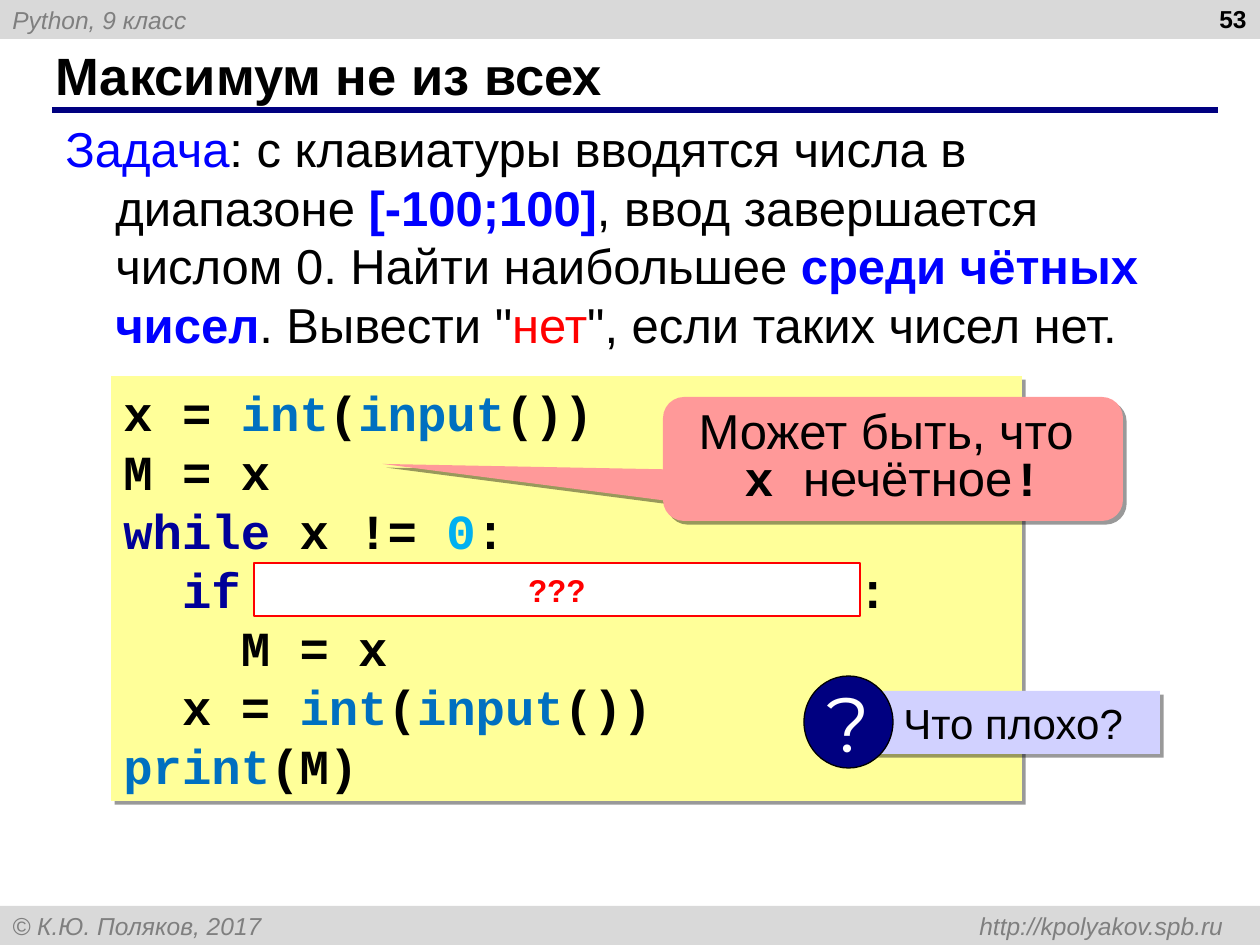
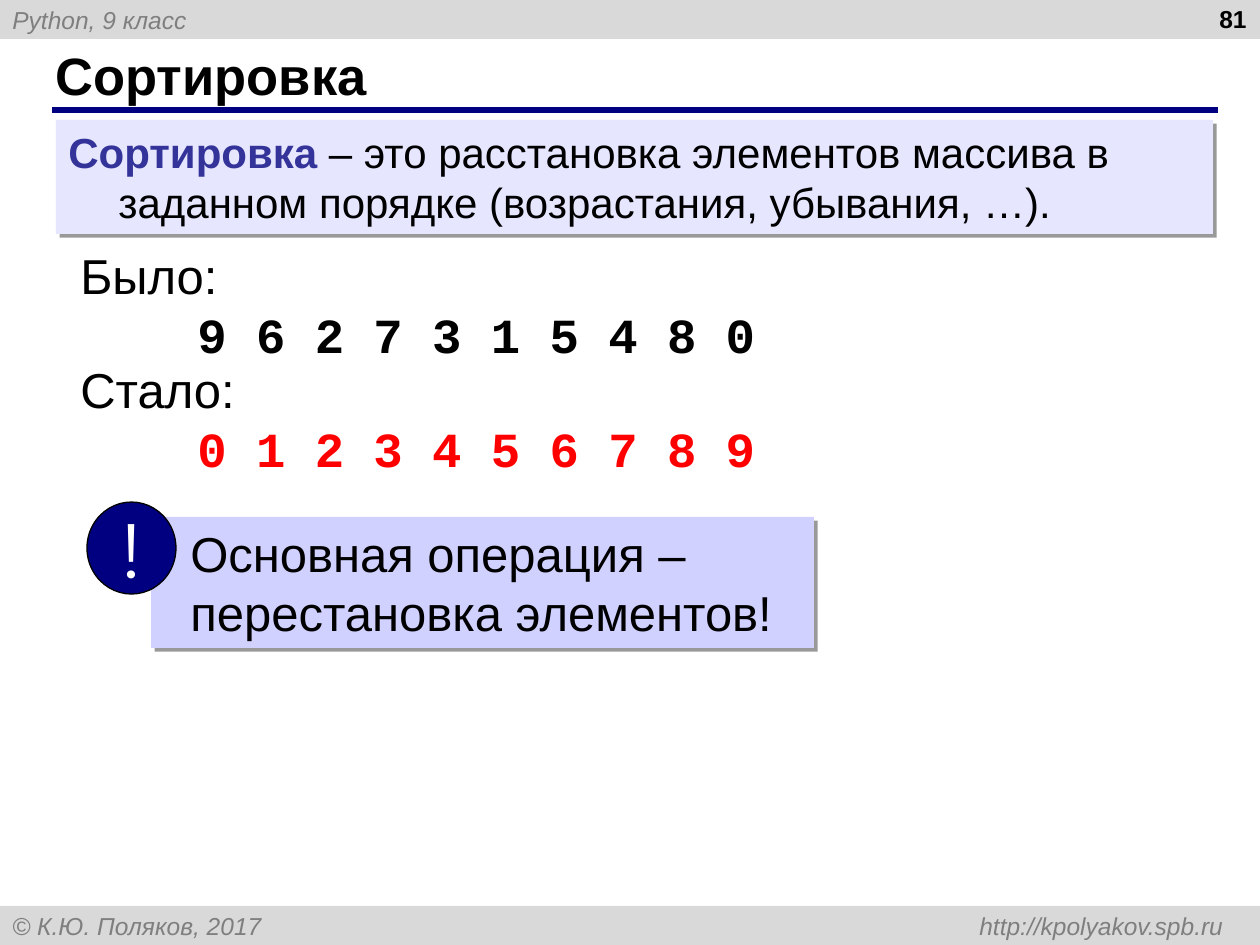
"""Build two slides of a Python course: a maximum with a condition, and sorting."""
from lxml import etree
from pptx import Presentation
from pptx.dml.color import RGBColor
from pptx.enum.shapes import MSO_CONNECTOR, MSO_SHAPE
from pptx.enum.text import MSO_AUTO_SIZE, PP_ALIGN
from pptx.oxml import parse_xml
from pptx.oxml.ns import nsdecls, qn
from pptx.util import Pt

RECT, OVAL = MSO_SHAPE.RECTANGLE, MSO_SHAPE.OVAL
BUBBLE = MSO_SHAPE.ROUNDED_RECTANGULAR_CALLOUT
LEFT, MID, RIGHT = PP_ALIGN.LEFT, PP_ALIGN.CENTER, PP_ALIGN.RIGHT
STRAIGHT, FIXED = MSO_CONNECTOR.STRAIGHT, MSO_AUTO_SIZE.NONE
PX = 914400 / 126
BLACK, WHITE, NAVY, RED, BLUE = "000000", "FFFFFF", "000080", "FF0000", "0000FF"
GREY, BAND, LILAC = "7F7F7F", "D9D9D9", "D1D1FF"
CALL, WORD, NUM = "0070C0", "000099", "00B0F0"
FONTS = {"c": "Courier New", "m": "Montserrat"}
SHADE = (f'<a:effectLst {nsdecls("a")}><a:outerShdw blurRad="0" dist="38100" dir="2700000" '
         'algn="tl" rotWithShape="0"><a:srgbClr val="000000"><a:alpha val="40000"/></a:srgbClr>'
         '</a:outerShdw></a:effectLst>')
hue = RGBColor.from_string


def box(slide, kind, at, fill=None, line=None, thick=1, shade=False):
    """Add a preset shape, or a text box when kind is None."""
    place = [round(v * PX) for v in at]
    if kind is None:
        item = slide.shapes.add_textbox(*place)
        item.text_frame.word_wrap = True
        return item
    item = slide.shapes.add_shape(kind, *place)
    item.fill.solid()
    item.fill.fore_color.rgb = hue(fill)
    if line:
        item.line.color.rgb = hue(line)
        item.line.width = Pt(thick)
    else:
        item.line.fill.background()
    item.shadow.inherit = False
    if shade:
        props = item.element.spPr
        props.remove(props.find(qn("a:effectLst")))
        props.append(parse_xml(SHADE))
    return item


def write(item, lines, size, align=LEFT, left=0, hang=0, tab=0):
    """Fill a shape with paragraphs of (text, colour, style) runs."""
    frame = item.text_frame
    for i, runs in enumerate(lines):
        para = frame.add_paragraph() if i else frame.paragraphs[0]
        para.alignment = align
        props = para._p.get_or_add_pPr()
        if left:
            props.set("marL", str(round(left * PX)))
            props.set("indent", str(round(-hang * PX)))
        if tab:
            stops = etree.SubElement(props, qn("a:tabLst"))
            etree.SubElement(stops, qn("a:tab"), pos=str(round(tab * PX)), algn="r")
        for text, tint, style in runs:
            if text == "\n":
                para.add_line_break()
                continue
            run = para.add_run()
            run.text = text
            font = run.font
            font.size = Pt(size)
            font.color.rgb = hue(tint)
            font.bold = "b" in style
            font.italic = "i" in style
            font.name = next((FONTS[k] for k in style if k in FONTS), "Arial")


deck = Presentation()
deck.slide_width, deck.slide_height = round(1260 * PX), round(945 * PX)
layout = deck.slide_layouts[5]
head = layout.placeholders[0]
head.left, head.top, head.width, head.height = [round(v * PX) for v in (43, 42, 1154, 66)]

pages = []
for title, page in (("Максимум не из всех", "53"), ("Сортировка", "81")):
    slide = deck.slides.add_slide(layout)
    slide.shapes.title.text_frame.auto_size = FIXED
    write(slide.shapes.title, [[(title, BLACK, "b")]], 30)
    label = box(slide, None, (965, -2, 294, 66))
    write(label, [[(page, BLACK, "b")]], 14, RIGHT)
    pages.append(slide)
task, sort = pages

tree = layout.shapes.element
for top, text in ((0, "Python, 9 класс"),
                  (906, "© К.Ю. Поляков, 2017 \thttp://kpolyakov.spb.ru")):
    band = box(task, RECT, (0, top, 1260, 39), BAND)
    write(band, [[(text, GREY, "i")]], 14, tab=1211)
    tree.append(band.element)
rule = task.shapes.add_connector(STRAIGHT, *[round(v * PX) for v in (52, 110, 1218, 110)])
rule.line.color.rgb = hue(NAVY)
rule.line.width = Pt(3)
etree.SubElement(rule.element.spPr, qn("a:effectLst"))
tree.append(rule.element)

goal = box(task, None, (53, 112, 1160, 248))
write(goal, [[
    ("Задача", BLUE, ""), (": с клавиатуры вводятся числа в диапазоне ", BLACK, ""),
    ("[-100;100]", BLUE, "b"), (", ввод завершается числом 0. Найти наибольшее ", BLACK, ""),
    ("среди чётных чисел", BLUE, "b"), (". Вывести \"", BLACK, ""),
    ("нет", RED, ""), ("\", если таких чисел нет.", BLACK, ""),
]], 28, left=50, hang=50)

read = [("int", CALL), ("(", BLACK), ("input", CALL), ("())", BLACK)]
code = [
    [("x = ", BLACK), *read],
    [("M = x", BLACK)],
    [("while", WORD), (" x != ", BLACK), ("0", NUM), (":", BLACK)],
    [("  ", BLACK), ("if", WORD), ("\t:", BLACK)],
    [("    M = x", BLACK)],
    [("  x = ", BLACK), *read],
    [("print", CALL), ("(M)", BLACK)],
]
panel = box(task, RECT, (111, 376, 911, 425), "FFFF99", shade=True)
panel.text_frame.margin_right = 0
write(panel, [[(*run, "bc") for run in line] for line in code], 28, tab=764)

gap = box(task, RECT, (254, 563, 606, 53), WHITE, RED)
write(gap, [[("???", RED, "b")]], 18, MID)

hint = box(task, BUBBLE, (663, 397, 460, 124), "FF9999", shade=True)
for i, value in enumerate((-1.11, 0.04, 0.17)):
    hint.adjustments[i] = value
write(hint, [[("Может быть, что ", BLACK, ""), ("\n", BLACK, ""), ("x ", BLACK, "bc"),
              ("нечётное", BLACK, ""), ("!", BLACK, "bc")]], 28, MID)
hint.text_frame.paragraphs[0].line_spacing = 0.8

term = box(sort, RECT, (56, 120, 1157, 114), "E6E6FF", shade=True)
write(term, [[
    ("Сортировка", "333399", "b"),
    (" – это расстановка элементов массива в заданном порядке (возрастания, убывания, …).",
     BLACK, ""),
]], 24, left=50, hang=50)

for top, name, row, tint in ((239, "Было:", "9 6 2 7 3 1 5 4 8 0", BLACK),
                             (353, "Стало:", "0 1 2 3 4 5 6 7 8 9", RED)):
    state = box(sort, None, (68, top, 720, 131))
    write(state, [[(name, BLACK, "")], [(row, tint, "bc")]], 28)
    state.text_frame.paragraphs[1]._p.pPr.set("marL", str(round(117 * PX)))

for slide, (x, y, w, h), size, inset, sign, text in (
    (task, (868, 691, 292, 63), 24, 23, "?", ["Что плохо?"]),
    (sort, (151, 517, 663, 131), 28, 27, "!", ["Основная операция –", "перестановка элементов!"]),
):
    note = box(slide, RECT, (x, y, w, h), LILAC, shade=True)
    runs = [(text[0], BLACK, "")]
    for more in text[1:]:
        runs += [("\n", BLACK, ""), (more, BLACK, "")]
    write(note, [runs], size, left=inset)
    badge = box(slide, OVAL, (x - 64, y - 15, 89, 92), NAVY, BLACK, 0.75)
    badge.text_frame.word_wrap = False
    write(badge, [[(sign, WHITE, "m")]], 44, MID)

deck.save("out.pptx")
